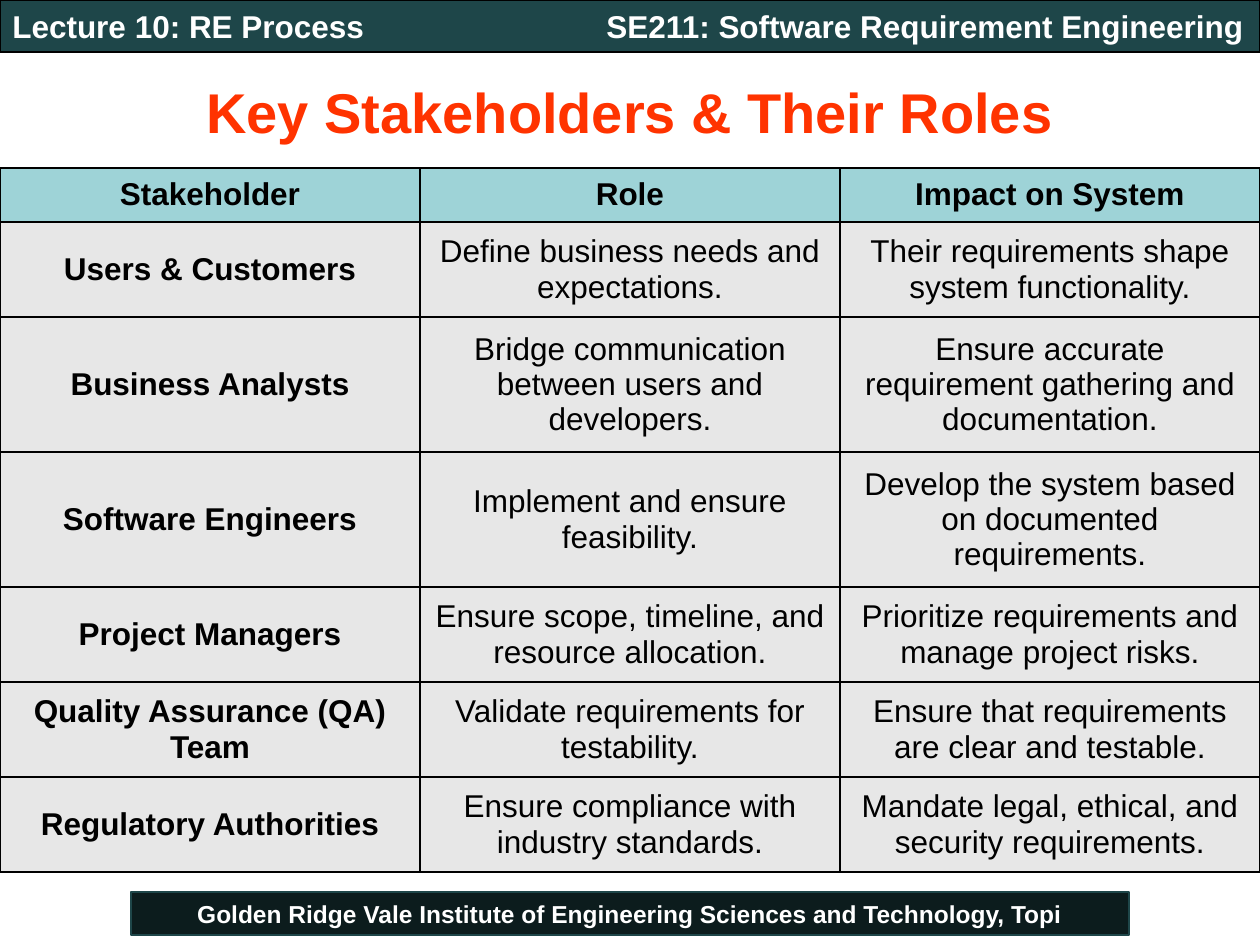
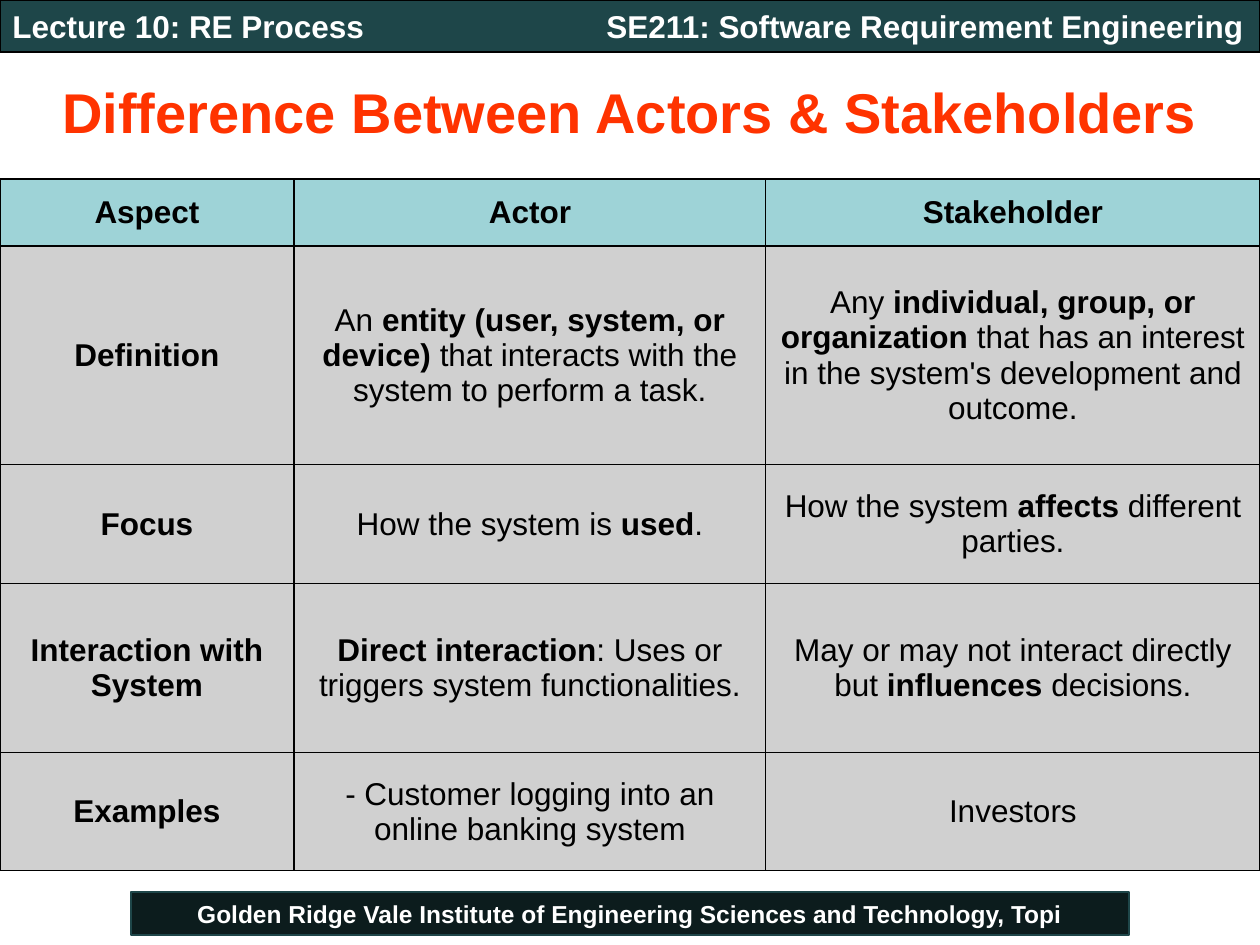
from lxml.etree import SubElement as Sub
from pptx import Presentation
from pptx.dml.color import RGBColor as Rgb
from pptx.enum.shapes import MSO_SHAPE as Shape
from pptx.enum.text import MSO_ANCHOR as Anchor, PP_ALIGN as Align
from pptx.oxml.ns import qn
from pptx.util import Emu, Pt

HUES = {"teal": "1E4649", "night": "0C1C1D", "black": "000000", "white": "FFFFFF",
        "title": "FF3300", "head": "9ED3D7", "pale": "E7E7E7", "grey": "D0D0D0"}

LECTURE = "Lecture 10: RE Process"
COURSE = "SE211: Software Requirement Engineering"
SCHOOL = "Golden Ridge Vale Institute of Engineering Sciences and Technology, Topi"

ROLES = [
    ("Stakeholder", "Role", "Impact on System"),
    ("Users & Customers", "Define business needs and expectations.",
     "Their requirements shape system functionality."),
    ("Business Analysts", "Bridge communication between users and developers.",
     "Ensure accurate requirement gathering and documentation."),
    ("Software Engineers", "Implement and ensure feasibility.",
     "Develop the system based on documented requirements."),
    ("Project Managers", "Ensure scope, timeline, and resource allocation.",
     "Prioritize requirements and manage project risks."),
    ("Quality Assurance (QA) Team", "Validate requirements for testability.",
     "Ensure that requirements are clear and testable."),
    ("Regulatory Authorities", "Ensure compliance with industry standards.",
     "Mandate legal, ethical, and security requirements."),
]

ACTORS = [
    ("Aspect", "Actor", "Stakeholder"),
    ("Definition",
     "An *entity (user, system, or device)* that interacts with the system to perform a task.",
     "Any *individual, group, or organization* that has an interest in the system's "
     "development and outcome."),
    ("Focus", "How the system is *used*.", "How the system *affects* different parties."),
    ("Interaction with System",
     "*Direct interaction*: Uses or triggers system functionalities.",
     "May or may not interact directly but *influences* decisions."),
    ("Examples", "- Customer logging into an online banking system", "Investors"),
]


def px(num):
    """Turn pixels into EMU."""
    return Emu(round(num * 914400 / 126))


def hue(name):
    """Look up a colour by name."""
    return Rgb.from_string(HUES[name])


class Deck:
    """Holds the style and the current slide."""

    def __init__(self):
        """Open an empty deck."""
        self.prs = Presentation()
        self.prs.slide_width, self.prs.slide_height = px(1260), px(945)
        self.slide = None

    def page(self, title):
        """Add a slide with its bands and title."""
        self.slide = self.prs.slides.add_slide(self.prs.slide_layouts[6])
        self.band((131, 892, 998, 43), "night", "teal", SCHOOL, 14, Align.CENTER)
        self.band((0, 0, 1260, 52), "teal", "black", LECTURE, 18, Align.LEFT)
        self.label((451, 0, 805, 52), COURSE, 18, "white", Align.RIGHT)
        self.label((0, 53, 1260, 116), title, 32, "title", Align.CENTER)

    def words(self, frame, text, size, tint, align, bold=True):
        """Fill a frame, with bold parts between asterisks."""
        frame.word_wrap = True
        para = frame.paragraphs[0]
        para.alignment = align
        for spot, part in enumerate(text.split("*")):
            if part:
                run = para.add_run()
                run.text = part
                look = {"name": "Arial", "size": Pt(size), "bold": bold or spot % 2 == 1}
                for key, val in look.items():
                    setattr(run.font, key, val)
                run.font.color.rgb = hue(tint)

    def band(self, area, fill, edge, text, size, align):
        """Draw a filled band with white text."""
        box = self.slide.shapes.add_shape(Shape.RECTANGLE, *map(px, area))
        box.shadow.inherit = False
        box.fill.solid()
        box.fill.fore_color.rgb = hue(fill)
        box.line.color.rgb = hue(edge)
        box.line.width = Pt(0.75)
        box.text_frame.vertical_anchor = Anchor.MIDDLE
        self.words(box.text_frame, text, size, "white", align)

    def label(self, area, text, size, tint, align):
        """Place a line of text."""
        frame = self.slide.shapes.add_textbox(*map(px, area)).text_frame
        frame.vertical_anchor = Anchor.MIDDLE
        self.words(frame, text, size, tint, align)

    def border(self, cell, width):
        """Rule all four sides of a cell."""
        props = cell._tc.get_or_add_tcPr()
        for side in ("lnL", "lnR", "lnT", "lnB"):
            line = Sub(props, qn("a:" + side), w=str(Pt(width)))
            fill = Sub(line, qn("a:solidFill"))
            Sub(fill, qn("a:srgbClr"), val=HUES["black"])

    def table(self, top, wides, highs, rows, body, width):
        """Draw a ruled table with a header row and bold first column."""
        area = (0, top, sum(wides), sum(highs))
        grid = self.slide.shapes.add_table(len(highs), len(wides), *map(px, area)).table
        grid.first_row = grid.horz_banding = False
        for col, wide in zip(grid.columns, wides):
            col.width = px(wide)
        for row, high in zip(grid.rows, highs):
            row.height = px(high)
        for y, texts in enumerate(rows):
            for x, text in enumerate(texts):
                cell = grid.cell(y, x)
                self.border(cell, width)
                cell.fill.solid()
                cell.fill.fore_color.rgb = hue(body if y else "head")
                cell.vertical_anchor = Anchor.MIDDLE
                self.words(cell.text_frame, text, 18, "black", Align.CENTER, not (x and y))


def main():
    """Build both slides."""
    deck = Deck()
    deck.page("Key Stakeholders & Their Roles")
    deck.table(168, [420] * 3, [54, 95, 135, 135, 95, 95, 95], ROLES, "pale", 1)
    deck.page("Difference Between Actors & Stakeholders")
    deck.table(179, [294, 472, 494], [67, 219, 119, 169, 118], ACTORS, "grey", 0.75)
    deck.prs.save("out.pptx")


if __name__ == "__main__":
    main()
